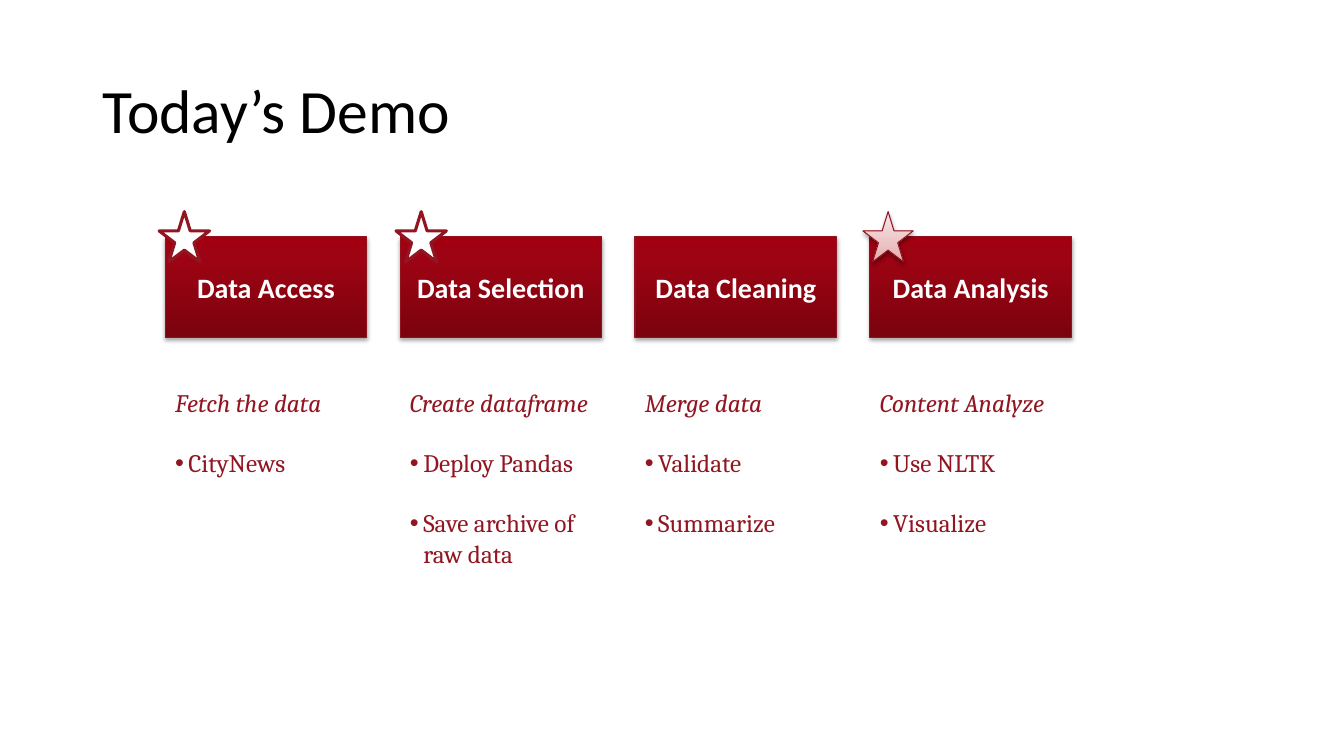
"""Build the "Today's Demo" slide: four data steps with their tasks."""
from dataclasses import dataclass

from lxml.etree import SubElement
from pptx import Presentation
from pptx.dml.color import RGBColor
from pptx.enum.shapes import MSO_SHAPE as Shape
from pptx.enum.text import MSO_ANCHOR as Anchor, PP_ALIGN as Align
from pptx.oxml.ns import qn
from pptx.util import Pt


@dataclass(frozen=True)
class Theme:
    black: str = "000000"
    white: str = "FFFFFF"
    red: str = "911622"
    edge: str = "91131F"
    box_stops: tuple = ((0, "7A030E"), (80, "9E0313"), (100, "A20010"))
    star_stops: tuple = ((0, "E6A8AA"), (35, "ECC3C4"), (100, "F9E8E8"))
    sans: str = "Calibri"
    serif: str = "Cambria"
    title_size: int = 44
    box_size: int = 20
    task_size: int = 18


theme = Theme()


def write(paragraph, text, *, size, color, font, bold=False, italic=False,
          align=Align.LEFT, before=0, bullet=False):
    if bullet:
        properties = paragraph._p.get_or_add_pPr()
        properties.set("marL", str(Pt(9.5)))
        properties.set("indent", str(-Pt(9.5)))
        SubElement(properties, qn("a:buFont"), typeface="Arial")
        SubElement(properties, qn("a:buChar"), char="•")
    paragraph.alignment = align
    paragraph.space_before = Pt(before)
    run = paragraph.add_run()
    run.text = text
    run.font.name = font
    run.font.size = Pt(size)
    run.font.bold = bold
    run.font.italic = italic
    run.font.color.rgb = RGBColor.from_string(color)


def add_figure(kind, left, top, width, height, *, stops=None, line, weight, opacity=0):
    shape = slide.shapes.add_shape(kind, Pt(left), Pt(top), Pt(width), Pt(height))
    shape.line.color.rgb = RGBColor.from_string(line)
    shape.line.width = Pt(weight)
    shape.shadow.inherit = False
    if not stops:
        shape.fill.solid()
        shape.fill.fore_color.rgb = RGBColor.from_string(theme.white)
        return shape
    shape.fill.gradient()
    shape.fill.gradient_angle = 90
    properties = shape._element.spPr
    stop_list = properties.find(qn("a:gradFill")).find(qn("a:gsLst"))
    stop_list.clear()
    for position, color in stops:
        stop = SubElement(stop_list, qn("a:gs"), pos=str(position * 1000))
        SubElement(stop, qn("a:srgbClr"), val=color)
    shadow = SubElement(properties.find(qn("a:effectLst")), qn("a:outerShdw"),
                        blurRad=str(Pt(3.1)), dist=str(Pt(1.7)), dir="5400000",
                        rotWithShape="0")
    shade = SubElement(shadow, qn("a:srgbClr"), val=theme.black)
    SubElement(shade, qn("a:alpha"), val=str(opacity * 1000))
    return shape


presentation = Presentation()
presentation.slide_width = Pt(960)
presentation.slide_height = Pt(540)
slide = presentation.slides.add_slide(presentation.slide_layouts[5])

title = slide.shapes.title
title.left, title.top, title.width, title.height = Pt(66), Pt(28.8), Pt(828), Pt(104.4)
title.text_frame.vertical_anchor = Anchor.MIDDLE
heading = title.text_frame.paragraphs[0]
heading.line_spacing = 0.9
write(heading, "Today’s Demo", size=theme.title_size, color=theme.black, font=theme.sans)

outlined = dict(line=theme.red, weight=2.25)
shaded = dict(stops=theme.star_stops, line=theme.edge, weight=0.75, opacity=38)
steps = [
    ("Data Access", "Fetch the data", ["CityNews"], -4.3, outlined),
    ("Data Selection", "Create dataframe",
     ["Deploy Pandas", "Save archive of raw data"], -2.9, outlined),
    ("Data Cleaning", "Merge data", ["Validate", "Summarize"], 0, None),
    ("Data Analysis", "Content Analyze", ["Use NLTK", "Visualize"], -5, shaded),
]
first_left, pitch, width = 118, 167.8, 144

for column, (name, goal, tasks, star_shift, star_style) in enumerate(steps):
    left = first_left + column * pitch
    box = add_figure(Shape.RECTANGLE, left, 169.2, width, 72, stops=theme.box_stops,
                     line=theme.edge, weight=0.75, opacity=35)
    box.text_frame.vertical_anchor = Anchor.MIDDLE
    write(box.text_frame.paragraphs[0], name, size=theme.box_size, color=theme.white,
          font=theme.sans, bold=True, align=Align.CENTER)
    if star_style:
        add_figure(Shape.STAR_5_POINT, left + star_shift, 151.2, 36, 36, **star_style)

    task_box = slide.shapes.add_textbox(Pt(left), Pt(272.9), Pt(width), Pt(196.6))
    task_frame = task_box.text_frame
    task_frame.word_wrap = True
    task_style = dict(size=theme.task_size, color=theme.red, font=theme.serif)
    write(task_frame.paragraphs[0], goal, italic=True, **task_style)
    for task in tasks:
        write(task_frame.add_paragraph(), task, before=21.5, bullet=True, **task_style)

presentation.save("out.pptx")
